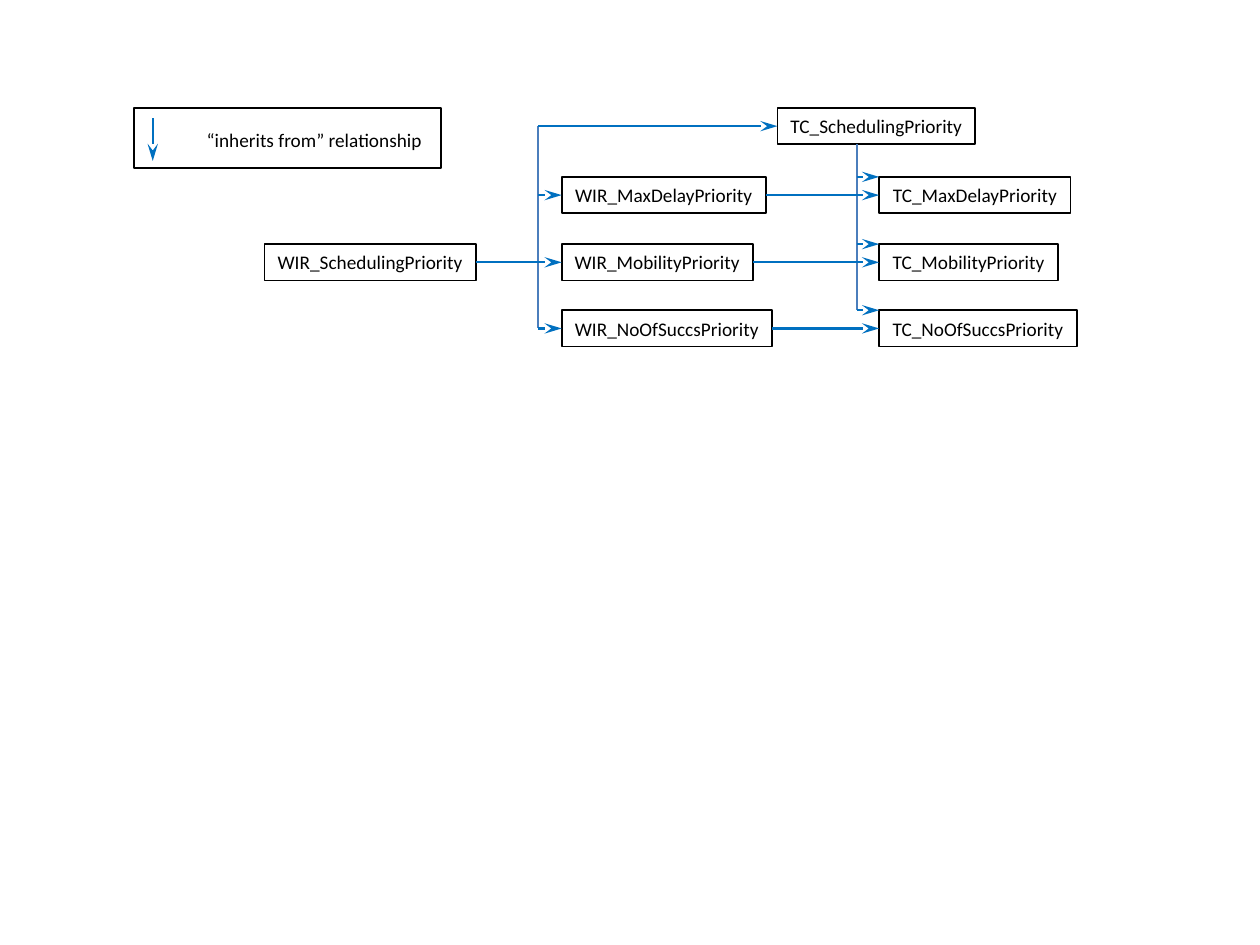
"""Build a slide showing the inheritance between the scheduling priority classes."""
from lxml import etree
from pptx import Presentation
from pptx.dml.color import RGBColor
from pptx.enum import shapes, text
from pptx.oxml import ns
from pptx.util import Pt

BLACK = RGBColor(0x00, 0x00, 0x00)
WHITE = RGBColor(0xFF, 0xFF, 0xFF)
BLUE = RGBColor(0x00, 0x70, 0xC0)
TRUNK_BLUE = RGBColor(0x4B, 0x7E, 0xBC)
TOP, LEFT, RIGHT = 0, 1, 3


def write(box, words, font="Calibri", size=11, color=BLACK, align=text.PP_ALIGN.CENTER):
    """Put one formatted line of text into a box."""
    frame = box.text_frame
    frame.word_wrap = False
    frame.auto_size = text.MSO_AUTO_SIZE.SHAPE_TO_FIT_TEXT
    para = frame.paragraphs[0]
    para.alignment = align
    span = para.add_run()
    span.text = words
    span.font.name = font
    span.font.size = Pt(size)
    span.font.color.rgb = color


class Diagram:
    """Hold the style and the current slide."""

    box_height = 20.8
    border = 1
    stroke = 1.25

    def __init__(self, page):
        """Remember the slide to draw on."""
        self.page = page

    def frame(self, left, top, width, height):
        """Add an unfilled rectangle with a black border."""
        box = self.page.shapes.add_shape(
            shapes.MSO_SHAPE.RECTANGLE, Pt(left), Pt(top), Pt(width), Pt(height))
        box.shadow.inherit = False
        box.fill.background()
        box.line.color.rgb = BLACK
        box.line.width = Pt(self.border)
        return box

    def class_box(self, name, left, top, width):
        """Add a white box that names a class."""
        box = self.frame(left, top, width, self.box_height)
        box.fill.solid()
        box.fill.fore_color.rgb = WHITE
        write(box, name)
        return box

    def label(self, words, left, top, width):
        """Add a left-aligned text box."""
        box = self.page.shapes.add_textbox(
            Pt(left), Pt(top), Pt(width), Pt(self.box_height))
        write(box, words, align=text.PP_ALIGN.LEFT)

    def line(self, start, end, color=BLUE, arrow=True, source=None, target=None):
        """Add a straight line, joined to a (box, side) pair where one is given."""
        link = self.page.shapes.add_connector(
            shapes.MSO_CONNECTOR.STRAIGHT, *(Pt(value) for value in (*start, *end)))
        if source:
            link.begin_connect(*source)
        if target:
            link.end_connect(*target)
        link.line.color.rgb = color
        link.line.width = Pt(self.stroke)
        if arrow:
            etree.SubElement(link.line._get_or_add_ln(), ns.qn("a:tailEnd"),
                             type="stealth", w="med", len="lg")
        etree.SubElement(link._element.spPr, ns.qn("a:effectLst"))


def main():
    """Draw the diagram and save the deck."""
    deck = Presentation()
    deck.slide_width, deck.slide_height = Pt(720), Pt(540)
    diagram = Diagram(deck.slides.add_slide(deck.slide_layouts[6]))

    diagram.frame(76.4, 61.9, 175.6, 34.1)
    diagram.line((87.3, 67.5), (87.3, 92))
    diagram.label("“inherits from” relationship", 111, 69.8, 138)

    wir_left, tc_left = 321, 502.4
    wir_trunk, tc_trunk = 307.5, 489.7
    half = diagram.box_height / 2
    top_row = 61.7
    rows = [
        ("MaxDelay", 101.1, 116.6, 109.4),
        ("Mobility", 139.5, 109.2, 102.2),
        ("NoOfSuccs", 177.3, 120.2, 113),
    ]
    first, last = top_row + half, rows[-1][1] + half
    wir_root = diagram.class_box("WIR_SchedulingPriority", 151.2, rows[1][1], 120.7)
    tc_root = diagram.class_box("TC_SchedulingPriority", 444.3, top_row, 113)

    diagram.line((wir_trunk, first), (wir_trunk, last), TRUNK_BLUE, arrow=False)
    diagram.line((tc_trunk, top_row + diagram.box_height), (tc_trunk, rows[-1][1]),
                 TRUNK_BLUE, arrow=False)
    middle = rows[1][1] + half
    diagram.line((271.9, middle), (wir_trunk, middle), arrow=False,
                 source=(wir_root, RIGHT))
    diagram.line((wir_trunk, first), (444.3, first), target=(tc_root, LEFT))

    for name, top, wir_width, tc_width in rows:
        wir = diagram.class_box(f"WIR_{name}Priority", wir_left, top, wir_width)
        tc = diagram.class_box(f"TC_{name}Priority", tc_left, top, tc_width)
        center = top + half
        diagram.line((wir_trunk, center), (wir_left, center), target=(wir, LEFT))
        diagram.line((wir_left + wir_width, center), (tc_left, center),
                     source=(wir, RIGHT), target=(tc, LEFT))
        diagram.line((tc_trunk, top), (tc_left, top))

    deck.save("out.pptx")


if __name__ == "__main__":
    main()
